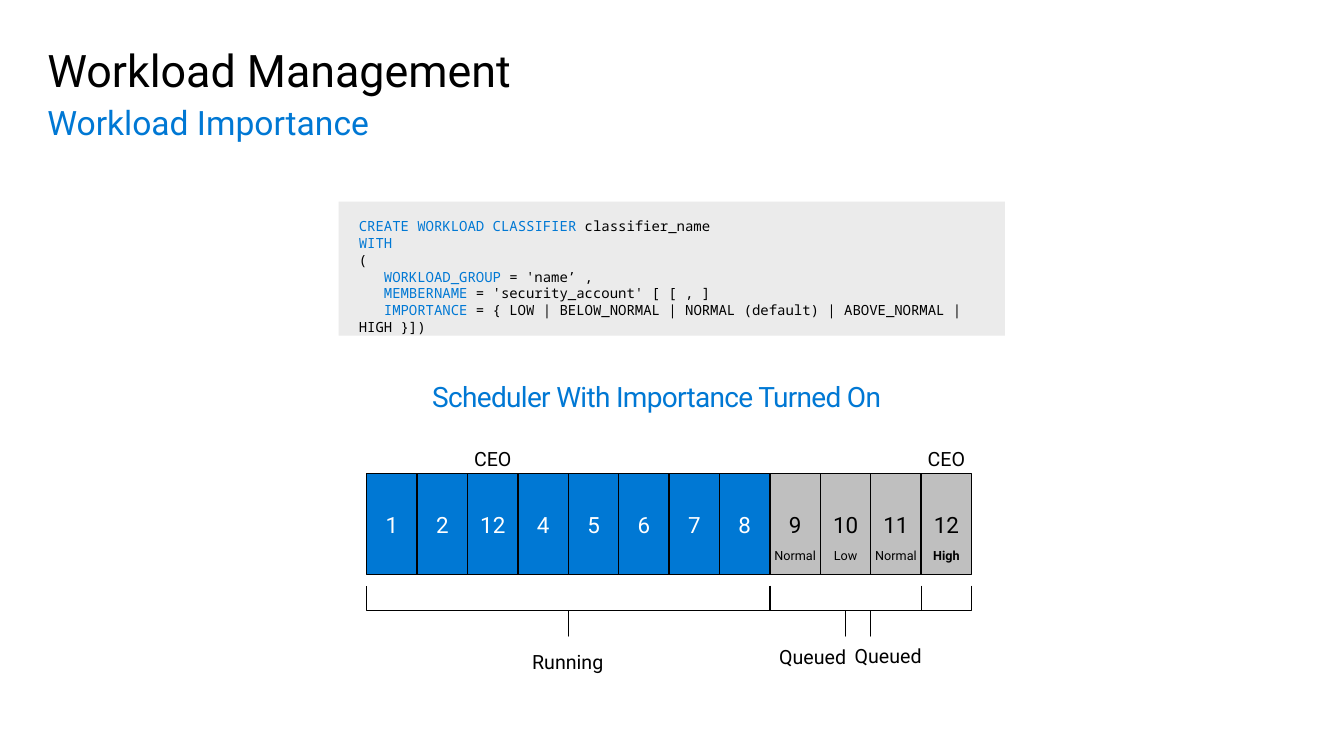
import pptx
import pptx.dml.color
import pptx.enum.shapes
import pptx.enum.text
import pptx.util

Pt = pptx.util.Pt
Shape = pptx.enum.shapes.MSO_SHAPE
Align = pptx.enum.text.PP_ALIGN
Anchor = pptx.enum.text.MSO_ANCHOR
Fit = pptx.enum.text.MSO_AUTO_SIZE

BLUE, BLACK, WHITE = "0078D4", "000000", "FFFFFF"
GREY, PALE = "BFBFBF", "EBEBEB"
SIDES = ("margin_left", "margin_top", "margin_right", "margin_bottom")
CODE = [
    [("CREATE WORKLOAD CLASSIFIER ", BLUE), ("classifier_name", BLACK)],
    [("WITH", BLUE)],
    [("(", BLACK)],
    [("   WORKLOAD_GROUP ", BLUE), ("= 'name’ ,", BLACK)],
    [("   MEMBERNAME", BLUE), (" = 'security_account' [ [ , ]", BLACK)],
    [("   IMPORTANCE", BLUE),
     (" = { LOW | BELOW_NORMAL | NORMAL (default) | ABOVE_NORMAL | HIGH }])", BLACK)],
]
RUNNING = ["1", "2", "12", "4", "5", "6", "7", "8"]
QUEUED = [("9", "Normal"), ("10", "Low"), ("11", "Normal"), ("12", "High")]
LEFT, TOP, STEP, TALL = 262, 338.4, 36, 72


def paint(color, value):
    color.rgb = pptx.dml.color.RGBColor.from_string(value)


def assign(target, values):
    for key, value in values.items():
        setattr(target, key, value)


class Board:
    face = "Roboto"
    mono = "Noto Sans Mono"

    def __init__(self, slide):
        self.slide = slide

    def letter(self, frame, lines, size, font=None, bold=False, track=None, **form):
        for index, line in enumerate(lines):
            para = frame.add_paragraph() if index else frame.paragraphs[0]
            assign(para, form)
            for text, color in line:
                run = para.add_run()
                run.text = text
                assign(run.font, {"name": font or self.face, "size": Pt(size), "bold": bold})
                paint(run.font.color, color)
                if track is not None:
                    run._r.get_or_add_rPr().set("spc", str(track))

    def shape(self, kind, box, fill=None, line=None):
        shape = self.slide.shapes.add_shape(kind, *map(Pt, box))
        shape.shadow.inherit = False
        if fill:
            shape.fill.solid()
            paint(shape.fill.fore_color, fill)
        else:
            shape.fill.background()
        if line:
            paint(shape.line.color, line)
            shape.line.width = Pt(1)
        else:
            shape.line.fill.background()
        return shape

    def label(self, text, box, size, color=BLACK, pad=True, wrap=False, **form):
        frame = self.slide.shapes.add_textbox(*map(Pt, box)).text_frame
        assign(frame, {"word_wrap": wrap, "auto_size": Fit.SHAPE_TO_FIT_TEXT})
        if not pad:
            assign(frame, dict.fromkeys(SIDES, 0))
        self.letter(frame, [[(text, color)]], size, **form)

    def cell(self, slot, text, fill, color):
        box = (LEFT + slot * STEP, TOP, STEP, TALL)
        frame = self.shape(Shape.RECTANGLE, box, fill, BLACK).text_frame
        frame.vertical_anchor = Anchor.MIDDLE
        self.letter(frame, [[(text, color)]], 16, alignment=Align.CENTER)

    def note(self, slot, text, top, tall, size, bold=False):
        self.label(text, (LEFT + slot * STEP, top, STEP, tall), size,
                   pad=False, bold=bold, alignment=Align.CENTER)

    def brace(self, slot, count):
        span = count * STEP
        left = LEFT + slot * STEP + span / 2 - 18
        shape = self.shape(Shape.RIGHT_BRACE, (left, 436.3 - span / 2, 36, span), line=BLACK)
        shape.rotation = 90
        shape.adjustments[0] = 0
        shape.adjustments[1] = 0.5

    def code(self, lines, box):
        frame = self.shape(Shape.RECTANGLE, box, PALE).text_frame
        assign(frame, dict(zip(SIDES, map(Pt, (14.4, 11.5, 14.4, 11.5)))))
        assign(frame, {"word_wrap": True, "vertical_anchor": Anchor.TOP})
        self.letter(frame, lines, 10, self.mono, alignment=Align.LEFT)


def main():
    deck = pptx.Presentation()
    assign(deck, {"slide_width": Pt(960), "slide_height": Pt(540)})
    board = Board(deck.slides.add_slide(deck.slide_layouts[6]))

    board.label("Workload Management", (33.8, 34.6, 893, 34.6), 32,
                pad=False, wrap=True, line_spacing=0.9)
    board.label("Workload Importance", (33.8, 76.3, 893, 25.9), 24, BLUE,
                pad=False, wrap=True, line_spacing=0.9)
    board.code(CODE, (241.9, 144, 476, 95.8))
    board.label("Scheduler With Importance Turned On", (301.7, 267.8, 350.6, 31.7),
                20, BLUE, track=-50)

    for slot, text in enumerate(RUNNING):
        board.cell(slot, text, BLUE, WHITE)
    for slot, (text, rank) in enumerate(QUEUED, len(RUNNING)):
        board.cell(slot, text, GREY, BLACK)
        board.note(slot, rank, 391.7, 10.8, 9, rank == "High")
    for slot in (2, 11):
        board.note(slot, "CEO", 319, 17.3, 14)

    for slot, count in ((0, 8), (8, 4), (8, 3)):
        board.brace(slot, count)
    for text, left, top, wide in (("Running", 373, 460.8, 68.4),
                                  ("Queued", 549.4, 457.2, 65.5),
                                  ("Queued", 603.4, 456.5, 65.5)):
        board.label(text, (left, top, wide, 24.5), 14)

    deck.save("out.pptx")


if __name__ == "__main__":
    main()
